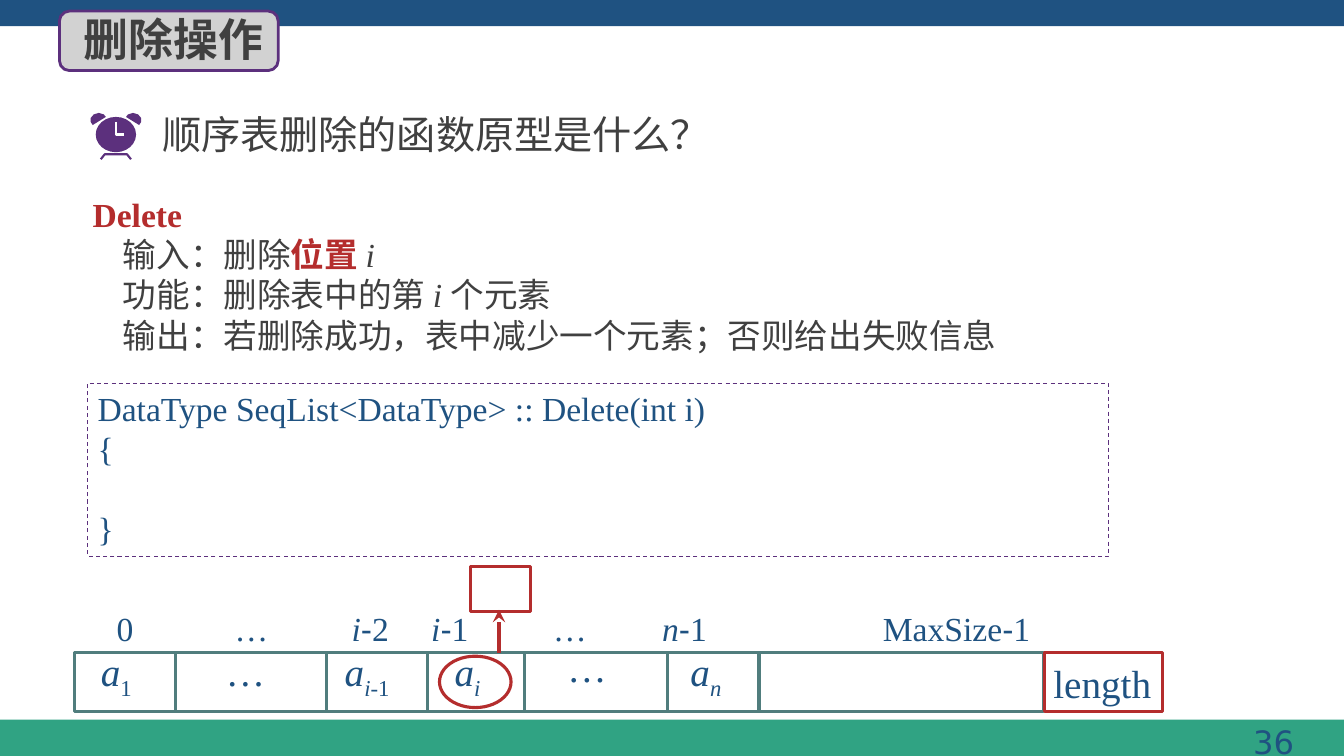
from lxml import etree
from pptx import Presentation
from pptx.dml.color import RGBColor
from pptx.enum.dml import MSO_LINE
from pptx.enum.shapes import MSO_CONNECTOR, MSO_SHAPE
from pptx.enum.text import MSO_ANCHOR, MSO_AUTO_SIZE, PP_ALIGN
from pptx.oxml.ns import qn
from pptx.util import Inches, Pt

RECTANGLE, ROUNDED, ELLIPSE = MSO_SHAPE.RECTANGLE, MSO_SHAPE.ROUNDED_RECTANGLE, MSO_SHAPE.OVAL
STRAIGHT, DASH = MSO_CONNECTOR.STRAIGHT, MSO_LINE.DASH
LEFT, RIGHT, TOP = PP_ALIGN.LEFT, PP_ALIGN.RIGHT, MSO_ANCHOR.TOP
FIXED = MSO_AUTO_SIZE.NONE

CELL = 0.1  # inches per grid column and per grid row
COLUMNS, ROWS = 133.33, 75
BLUE, GREEN, GREY, DARK = "1F5281", "30A383", "D2D2D2", "404040"
PURPLE, RED, TEAL, WHITE = "5C307D", "B42D2D", "507D7D", "FFFFFF"
SERIF, CHINESE, SANS, PAGE_FONT = "Times New Roman", "Noto Sans CJK SC", "Arial", "DejaVu Sans"


def color(value):
    return RGBColor.from_string(value)


def grid(count):
    return Inches(count * CELL)


class SlideBuilder:
    """Holds the current slide and draws styled elements on its grid."""

    def __init__(self, deck):
        self.page = deck.slides.add_slide(deck.slide_layouts[5])
        self.shapes = self.page.shapes

    def finish(self, shape, fill=None, line=None, width=1.0, dash=None):
        shape.shadow.inherit = False
        if fill:
            shape.fill.solid()
            shape.fill.fore_color.rgb = color(fill)
        else:
            shape.fill.background()
        if line:
            shape.line.color.rgb = color(line)
            shape.line.width = Pt(width)
            if dash:
                shape.line.dash_style = dash
        else:
            shape.line.fill.background()
        return shape

    def shape(self, kind, area, **style):
        return self.finish(self.shapes.add_shape(kind, *map(grid, area)), **style)

    def outline(self, points, closed=True, **style):
        corners = [(grid(x), grid(y)) for x, y in points]
        builder = self.shapes.build_freeform(*corners[0], scale=1.0)
        builder.add_line_segments(corners[1:], close=closed)
        return self.finish(builder.convert_to_shape(), **style)

    def line(self, start, end, stroke, width, arrow=False):
        connector = self.shapes.add_connector(STRAIGHT, *map(grid, (*start, *end)))
        connector.line.color.rgb = color(stroke)
        connector.line.width = Pt(width)
        properties = connector._element.spPr
        if arrow:
            etree.SubElement(properties.find(qn("a:ln")), qn("a:tailEnd"), type="stealth")
        etree.SubElement(properties, qn("a:effectLst"))

    def title(self, text, area, **style):
        box = self.shapes.title
        box.left, box.top, box.width, box.height = map(grid, area)
        self.shapes._spTree.append(box._element)
        self.fill_text(box, [[text]], **style)

    def text(self, area, paragraphs, **style):
        self.fill_text(self.shapes.add_textbox(*map(grid, area)), paragraphs, **style)

    def fill_text(self, box, paragraphs, size=24, font=SERIF, ink=BLUE, bold=False,
                  align=LEFT, margins=(1, 0.5), spacing=None, indents=(), tabs=(), gaps=()):
        """Each paragraph is a list of spans: a string, or (string, overrides)."""
        frame = box.text_frame
        frame.word_wrap, frame.auto_size, frame.vertical_anchor = True, FIXED, TOP
        frame.margin_left, frame.margin_top = map(grid, margins)
        frame.margin_right, frame.margin_bottom = map(grid, (margins[0], 0.5))
        for index, spans in enumerate(paragraphs):
            para = frame.paragraphs[0] if index == 0 else frame.add_paragraph()
            properties = para._p.get_or_add_pPr()
            if indents:
                properties.set("marL", str(grid(indents[index])))
            if tabs:
                stops = etree.SubElement(properties, qn("a:tabLst"))
                for stop in tabs:
                    etree.SubElement(stops, qn("a:tab"), pos=str(grid(stop)), algn="l")
            para.alignment = align
            para.space_before = Pt(gaps[index] if gaps else 0)
            if spacing:
                para.line_spacing = Pt(spacing)
            para.font.size, para.font.name, para.font.bold = Pt(size), font, bold
            para.font.color.rgb = color(ink)
            etree.SubElement(properties.find(qn("a:defRPr")), qn("a:ea"), typeface=CHINESE)
            for item in spans:
                self.span(para, *((item, {}) if isinstance(item, str) else item))

    def span(self, para, text, overrides):
        run = para.add_run()
        run.text = text
        run.font.bold = overrides.get("bold")
        run.font.italic = overrides.get("italic")
        if "name" in overrides:
            run.font.name = overrides["name"]
        if "ink" in overrides:
            run.font.color.rgb = color(overrides["ink"])
        if "baseline" in overrides:
            run.font._element.set("baseline", str(overrides["baseline"] * 1000))


def italic(text):
    return text, {"italic": True}


def subscript(text, slanted=False):
    return text, {"italic": slanted, "baseline": -25}


def draw_clock(slide):
    middle = 11.5
    bell = [(-1.7, 0), (-2.2, 0.15), (-2.5, 0.5), (-2.5, 0.9), (-2.3, 1.2), (-1, 0.4), (-1.2, 0.15)]
    for side in (1, -1):
        slide.outline([(middle + side * x, 11.2 + y) for x, y in bell], fill=PURPLE)
    slide.shape(ELLIPSE, (9.5, 11.6, 4, 3.5), fill=PURPLE)
    slide.outline([(11.5, 12.1), (11.5, 13.35), (12.3, 13.35)], closed=False, line=WHITE, width=2)
    slide.outline([(10, 15.8), (10.4, 15.3), (12.6, 15.3), (13, 15.8)],
                  closed=False, line=PURPLE, width=1.5)


def draw_list(slide):
    top, height = 64.7, 5.9
    hyphen = ("-", {"name": SANS})

    # Index labels
    text_start = 9.1
    label_starts = (11.6, 23.3, 34.9, 42.8, 54.9, 65.7, 87.6)
    slide.text((8.1, 59.8, 109.6, 5),
               [["\t0\t…\t", italic("i"), hyphen, "2\t", italic("i"), hyphen, "1\t…\t",
                 italic("n"), hyphen, "1\tMaxSize", hyphen, "1"]],
               tabs=[round(start - text_start, 2) for start in label_starts])

    # Storage cells
    slide.shape(RECTANGLE, (7.4, top, 96.1, height), line=TEAL, width=2.25)
    for divider in (17.4, 32.4, 42.4, 52, 66.2, 75.3):
        slide.line((divider, top), (divider, top + height), TEAL, 2.25)

    # Elements
    cell_text = {"size": 28, "spacing": 30}
    elements = (
        (10, 64.9, [italic("a"), subscript("1")]),
        (22.4, 64.2, ["…"]),
        (34.2, 64.9, [italic("a"), subscript("i", True), subscript("-1")]),
        (45.1, 64.9, [italic("a"), subscript("i", True)]),
        (56.3, 63.8, ["…"]),
        (68.5, 64.9, [italic("a"), subscript("n", True)]),
    )
    for left, label_top, spans in elements:
        slide.text((left, label_top, 6.7, 4.6), [spans], margins=(0, 0.5), **cell_text)
    length = slide.shape(RECTANGLE, (103.6, top, 11.7, height), line=RED, width=2.25)
    slide.fill_text(length, [["length"]], margins=(0.9, 1.2), **cell_text)

    # Element taken out
    slide.line((49.5, 64.8), (49.5, 60.5), RED, 3, arrow=True)
    slide.shape(RECTANGLE, (46.7, 56.2, 5.9, 4.5), line=RED, width=2.25)
    slide.shape(ELLIPSE, (43.6, 65.1, 7.1, 5.1), line=RED, width=2.25)


def main():
    deck = Presentation()
    deck.slide_width, deck.slide_height = grid(COLUMNS), grid(ROWS)
    slide = SlideBuilder(deck)

    # Bands and page number
    slide.shape(RECTANGLE, (0, 71.4, COLUMNS, 3.6), fill=GREEN)
    slide.shape(RECTANGLE, (0, 0, COLUMNS, 2.6), fill=BLUE)
    slide.text((100.3, 71.1, 29.4, 5.2), [["36"]], size=23, font=PAGE_FONT,
               align=RIGHT, margins=(1.3, 0.6))

    # Title
    slide.shape(ROUNDED, (5.9, 1.1, 21.7, 5.9), fill=GREY, line=PURPLE, width=2)
    slide.title("删除操作", (7.3, 0.7, 23, 6.4), size=32, font=CHINESE, ink=DARK, bold=True)

    # Question
    draw_clock(slide)
    slide.text((15.1, 10.5, 59.8, 5.7), [["顺序表删除的函数原型是什么？"]],
               size=28, font=CHINESE, ink=DARK)

    # Operation description
    slide.text((8.2, 18.7, 102.8, 17.2), [
        [("Delete", {"ink": RED, "bold": True})],
        ["输入：删除", ("位置 ", {"ink": RED, "bold": True}), italic("i")],
        ["功能：删除表中的第 ", italic("i "), "个元素"],
        ["输出：若删除成功，表中减少一个元素；否则给出失败信息"],
    ], ink=DARK, indents=(0, 3, 3, 3))

    # Function prototype
    code = slide.shape(RECTANGLE, (8.7, 38, 101.3, 17.2), line=PURPLE, width=0.75, dash=DASH)
    slide.fill_text(code, [["DataType SeqList<DataType> :: Delete(int i)"], ["{"], ["}"]],
                    gaps=(0, 0, 28))

    draw_list(slide)
    deck.save("out.pptx")


if __name__ == "__main__":
    main()
